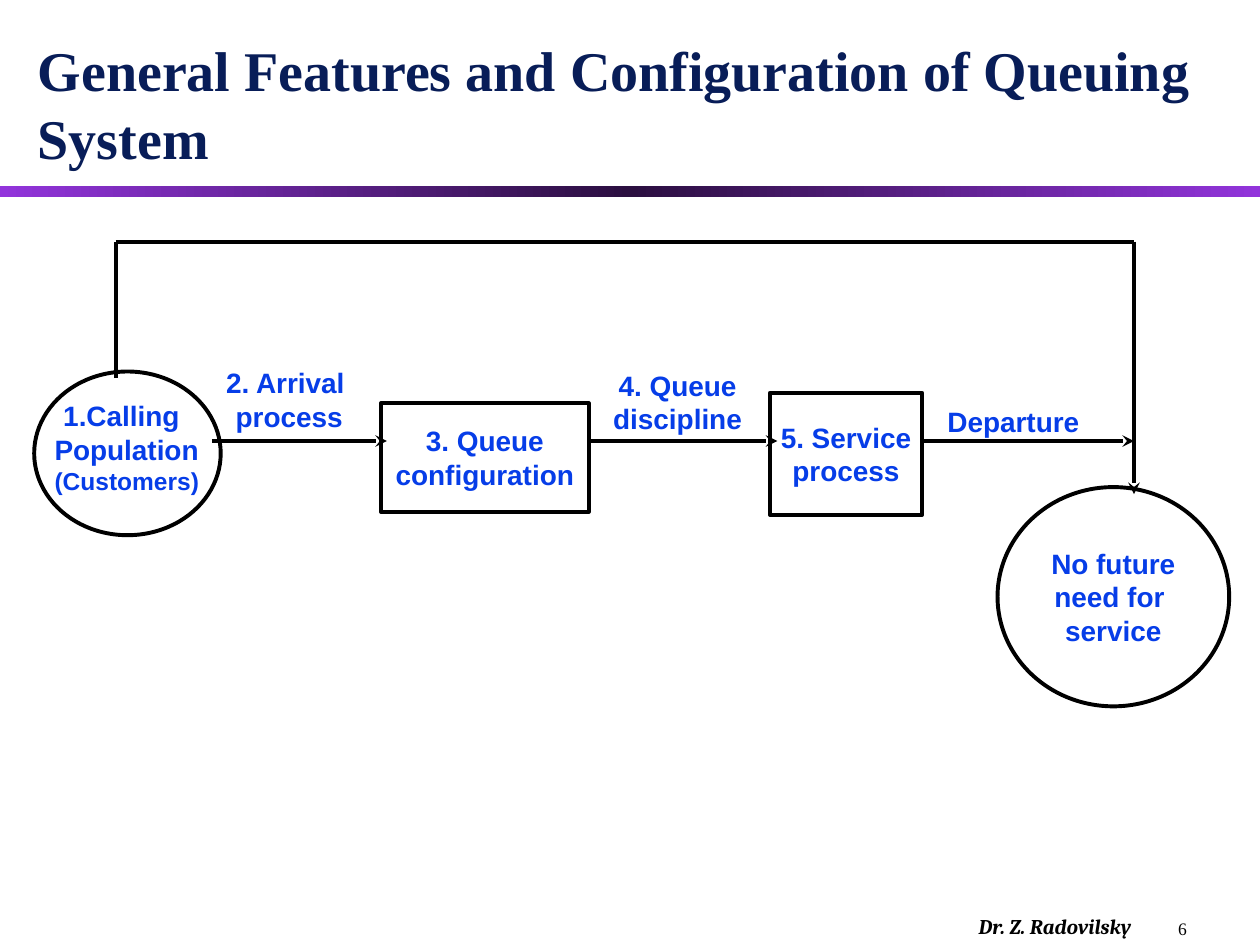
from dataclasses import dataclass
from typing import Optional

from lxml.etree import SubElement
from pptx import Presentation
from pptx.dml.color import RGBColor
from pptx.enum.shapes import MSO_CONNECTOR, MSO_SHAPE
from pptx.enum.text import MSO_ANCHOR as Anchor, PP_ALIGN as Align
from pptx.oxml import parse_xml
from pptx.oxml.ns import nsdecls, qn
from pptx.util import Cm, Pt

COLORS = {
    "title": "081D58",
    "label": "063DE8",
    "ink": "000000",
    "bar_edge": "9234DB",
    "bar_middle": "2B0F40",
}
LINE_WIDTH = Pt(2.25)


@dataclass(frozen=True)
class Run:
    text: str
    size: float = 16
    font: str = "Arial"
    color: str = "label"
    bold: bool = True
    italic: bool = False


@dataclass(frozen=True)
class Box:
    """Text lines in a frame given in centimetres; without an outline it is a text box."""
    left: float
    top: float
    width: float
    height: float
    lines: tuple[tuple[Run, ...], ...] = ()
    outline: Optional[MSO_SHAPE] = None
    align: Align = Align.CENTER
    anchor: Anchor = Anchor.MIDDLE
    wrap: bool = False


@dataclass(frozen=True)
class Link:
    start: tuple[float, float]
    end: tuple[float, float]
    arrow: bool = False


def label(*texts: str) -> tuple[tuple[Run, ...], ...]:
    """One paragraph of default label text for each string."""
    return tuple((Run(text),) for text in texts)


FLOW_Y = 8.89
RETURN_Y = 4.87
SOURCE_X = 2.33
EXIT_X = 22.86

BOXES = (
    Box(0.51, 0.41, 24.41, 3.15,
        ((Run("General Features and Configuration of Queuing System", 32,
              "Times New Roman", "title"),),),
        align=Align.LEFT, anchor=Anchor.BOTTOM, wrap=True),
    Box(19.48, 18.29, 5.28, 0.76,
        ((Run("Dr. Z. Radovilsky", 12, "Cambria", "ink", italic=True),),),
        align=Align.LEFT, anchor=Anchor.TOP, wrap=True),
    Box(23.5, 18.38, 1.27, 0.69,
        ((Run("6", 10, "Times New Roman", "ink", bold=False),),),
        align=Align.LEFT, anchor=Anchor.TOP, wrap=True),
    Box(18.43, 7.65, 4, 1.68, label("Departure")),
    Box(12.1, 7.26, 3.12, 1.68, label("4. Queue", "discipline")),
    Box(4.27, 7.21, 3.12, 1.68, label("2. Arrival ", "process")),
    Box(7.68, 8.13, 4.19, 2.19, label("3. Queue", "configuration"), MSO_SHAPE.RECTANGLE),
    Box(15.52, 7.92, 3.07, 2.46, label("5. Service", "process"), MSO_SHAPE.RECTANGLE),
    Box(0.85, 7.83, 3.45, 2.31,
        ((Run(" ", 18), Run("1.Calling")), (Run("Population"),), (Run("(Customers)", 14),)),
        align=Align.LEFT, anchor=Anchor.TOP),
    Box(0.69, 7.49, 3.76, 3.3, outline=MSO_SHAPE.OVAL),
    Box(20.11, 9.82, 4.67, 4.42, label("No future", "need for ", "service"), MSO_SHAPE.OVAL),
)

LINKS = (
    Link((4.27, FLOW_Y), (7.8, FLOW_Y), arrow=True),
    Link((11.86, FLOW_Y), (15.67, FLOW_Y), arrow=True),
    Link((18.62, FLOW_Y), (EXIT_X, FLOW_Y), arrow=True),
    Link((SOURCE_X, 7.62), (SOURCE_X, RETURN_Y)),
    Link((EXIT_X, RETURN_Y), (EXIT_X, 9.96), arrow=True),
    Link((SOURCE_X, RETURN_Y), (EXIT_X, RETURN_Y)),
)


def rgb(name: str) -> RGBColor:
    return RGBColor.from_string(COLORS[name])


def draw_bar(slide) -> None:
    """Full-width rule that fades to a dark middle."""
    shape = slide.shapes.add_shape(MSO_SHAPE.RECTANGLE, Cm(0), Cm(3.76), Cm(25.4), Cm(0.21))
    shape.shadow.inherit = False
    shape.line.fill.background()
    shape.fill.gradient()
    shape.fill.gradient_angle = 0
    stops = shape.fill.gradient_stops
    for stop in stops:
        stop.color.rgb = rgb("bar_edge")
    stops[0].position, stops[1].position = 0, 1
    gradient_list = shape.element.spPr.find(qn("a:gradFill")).find(qn("a:gsLst"))
    gradient_list.insert(1, parse_xml(
        f'<a:gs {nsdecls("a")} pos="50000"><a:srgbClr val="{COLORS["bar_middle"]}"/></a:gs>'))


def draw_box(slide, box: Box) -> None:
    frame = (Cm(box.left), Cm(box.top), Cm(box.width), Cm(box.height))
    if box.outline is None:
        shape = slide.shapes.add_textbox(*frame)
    else:
        shape = slide.shapes.add_shape(box.outline, *frame)
        shape.shadow.inherit = False
        shape.fill.background()
        shape.line.color.rgb = rgb("ink")
        shape.line.width = LINE_WIDTH
    text_frame = shape.text_frame
    text_frame.word_wrap = box.wrap
    text_frame.vertical_anchor = box.anchor
    for index, line in enumerate(box.lines):
        paragraph = text_frame.add_paragraph() if index else text_frame.paragraphs[0]
        paragraph.alignment = box.align
        for item in line:
            run = paragraph.add_run()
            run.text = item.text
            run.font.size = Pt(item.size)
            run.font.name = item.font
            run.font.bold = item.bold
            run.font.italic = item.italic
            run.font.color.rgb = rgb(item.color)


def draw_link(slide, link: Link) -> None:
    points = [Cm(value) for value in (*link.start, *link.end)]
    connector = slide.shapes.add_connector(MSO_CONNECTOR.STRAIGHT, *points)
    connector.line.color.rgb = rgb("ink")
    connector.line.width = LINE_WIDTH
    properties = connector.element.spPr
    if link.arrow:
        SubElement(properties.find(qn("a:ln")), qn("a:tailEnd"), type="stealth")
    SubElement(properties, qn("a:effectLst"))


def main() -> None:
    presentation = Presentation()
    presentation.slide_width, presentation.slide_height = Cm(25.4), Cm(19.05)
    slide = presentation.slides.add_slide(presentation.slide_layouts[6])
    draw_bar(slide)
    for box in BOXES:
        draw_box(slide, box)
    for link in LINKS:
        draw_link(slide, link)
    presentation.save("out.pptx")


if __name__ == "__main__":
    main()
